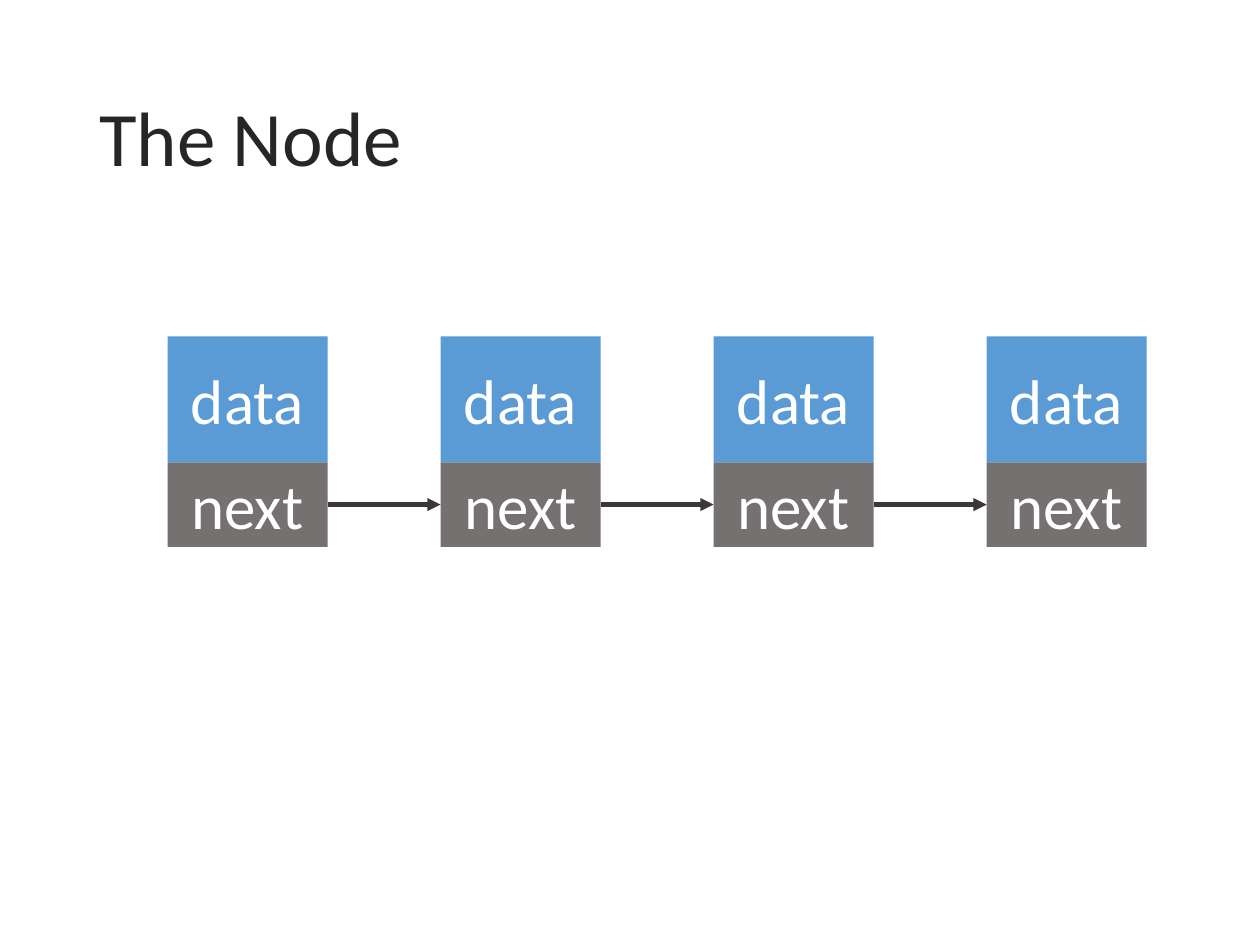
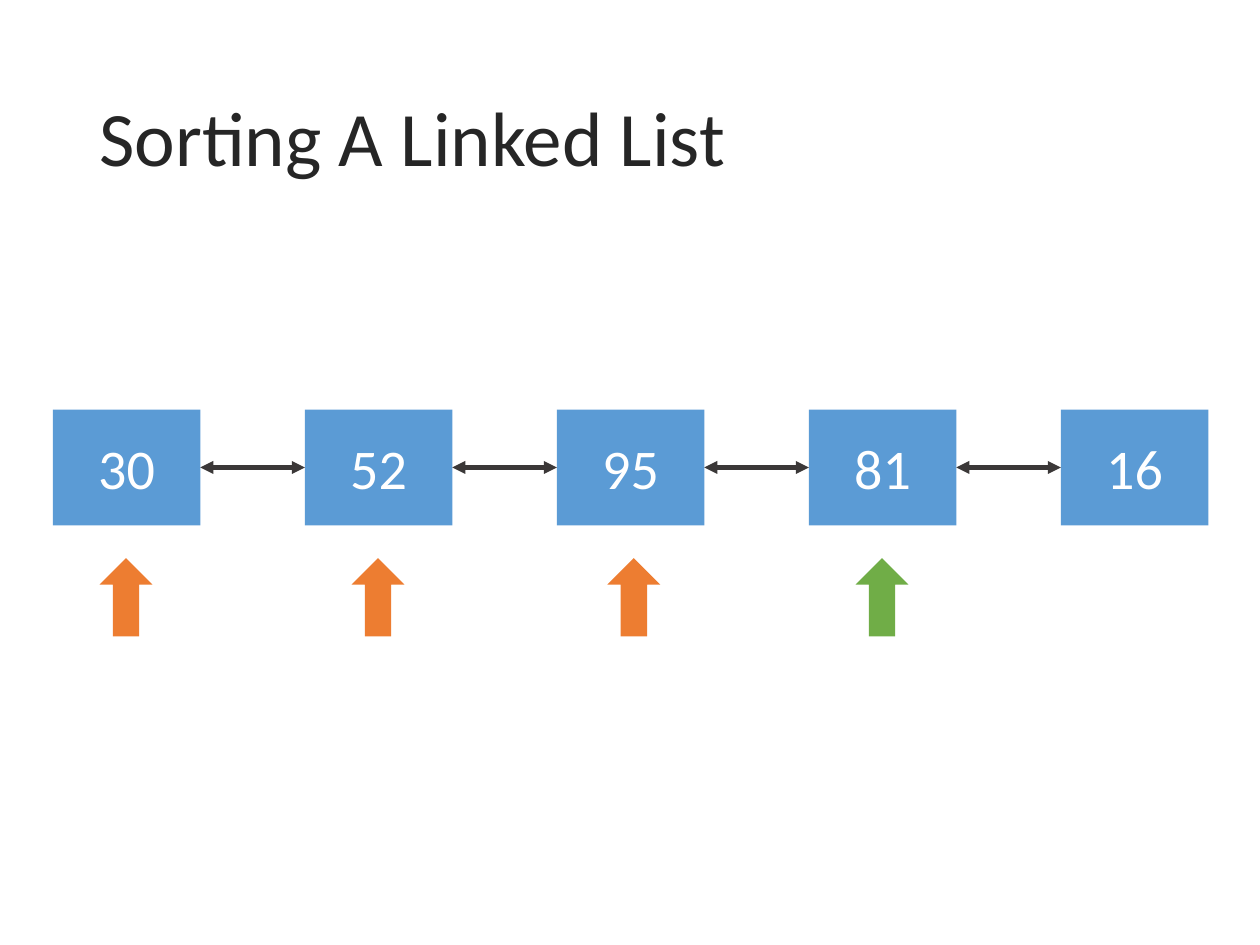
"""Build two slides that show linked list nodes and a sorting step."""
from pptx import Presentation, util as u
from pptx.dml.color import RGBColor
from pptx.enum import shapes, text
from pptx.oxml import parse_xml
from pptx.oxml.ns import nsdecls

BLUE = RGBColor(0x5B, 0x9B, 0xD5)
GRAY = RGBColor(0x76, 0x71, 0x71)
DARK = RGBColor(0x3B, 0x38, 0x38)
INK = RGBColor(0x26, 0x26, 0x26)
WHITE = RGBColor(0xFF, 0xFF, 0xFF)
ORANGE = RGBColor(0xED, 0x7D, 0x31)
GREEN = RGBColor(0x70, 0xAD, 0x47)
FONT = "Calibri"
RECT = shapes.MSO_SHAPE.RECTANGLE
ARROW = shapes.MSO_SHAPE.UP_ARROW

NODES = 4
PARTS = [("data", BLUE, 2.67, 1), ("next", GRAY, 3.67, 0.67)]
VALUES = ["30", "52", "95", "81", "16"]
MARKS = [(0.79, ORANGE), (2.79, ORANGE), (4.82, ORANGE), (6.79, GREEN)]


def write(frame, words, size, color, align):
    frame.word_wrap = True
    frame.vertical_anchor = text.MSO_ANCHOR.MIDDLE
    para = frame.paragraphs[0]
    para.alignment = align
    run = para.add_run()
    run.text = words
    run.font.name = FONT
    run.font.size = u.Pt(size)
    run.font.color.rgb = color
    return para


def add_page(deck, title):
    page = deck.slides.add_slide(deck.slide_layouts[6])
    box = page.shapes.add_textbox(*map(u.Inches, (0.69, 0.4, 8.62, 1.45)))
    para = write(box.text_frame, title, 44, INK, text.PP_ALIGN.LEFT)
    para.line_spacing = 0.9
    return page


def add_form(page, kind, place, color):
    form = page.shapes.add_shape(kind, *map(u.Inches, place))
    form.shadow.inherit = False
    form.fill.solid()
    form.fill.fore_color.rgb = color
    form.line.fill.background()
    return form


def add_row(page, words, place, step, color, size):
    left, top, width, height = place
    row = []
    for i, word in enumerate(words):
        box = add_form(page, RECT, (left + i * step, top, width, height), color)
        write(box.text_frame, word, size, WHITE, text.PP_ALIGN.CENTER)
        row.append(box)
    return row


def link(page, row, ends):
    for a, b in zip(row, row[1:]):
        line = page.shapes.add_connector(shapes.MSO_CONNECTOR.STRAIGHT, 0, 0, 0, 0)
        line.begin_connect(a, 3)
        line.end_connect(b, 1)
        line.line.color.rgb = DARK
        line.line.width = u.Pt(2.5)
        for end in ends:
            tip = parse_xml(f'<a:{end} {nsdecls("a")} type="triangle"/>')
            line.line._get_or_add_ln().append(tip)
        line._element.spPr.append(parse_xml(f'<a:effectLst {nsdecls("a")}/>'))


def main():
    deck = Presentation()
    deck.slide_width, deck.slide_height = u.Inches(10), u.Inches(7.5)

    page = add_page(deck, "The Node")
    for word, color, top, height in PARTS:
        row = add_row(page, [word] * NODES, (1.33, top, 1.27, height),
                      6.5 / 3, color, 36)
    link(page, row, ["tailEnd"])

    page = add_page(deck, "Sorting A Linked List")
    row = add_row(page, VALUES, (0.42, 3.25, 1.17, 0.92), 2, BLUE, 32)
    link(page, row, ["headEnd", "tailEnd"])
    for left, color in MARKS:
        add_form(page, ARROW, (left, 4.43, 0.42, 0.62), color)

    deck.save("out.pptx")


if __name__ == "__main__":
    main()
